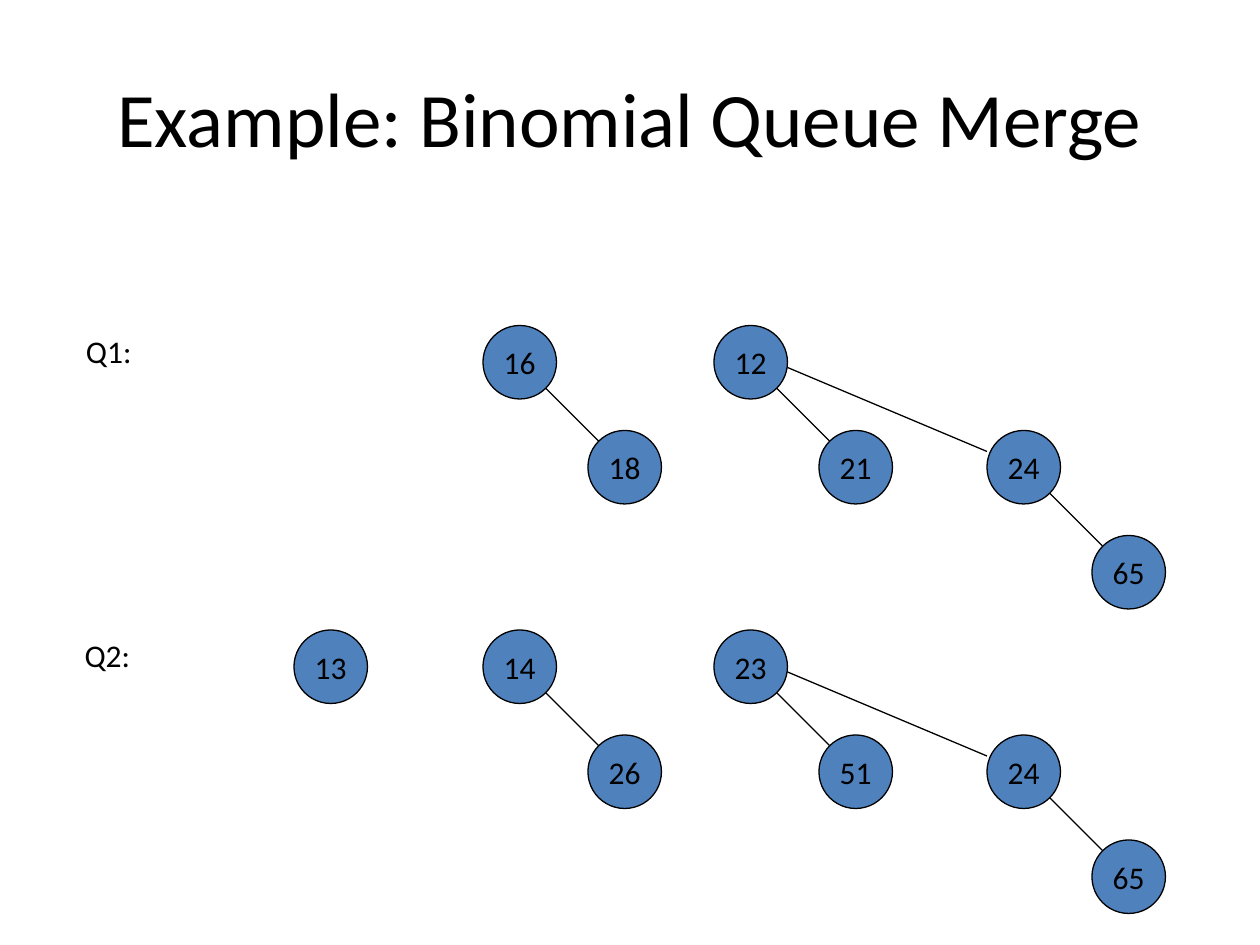
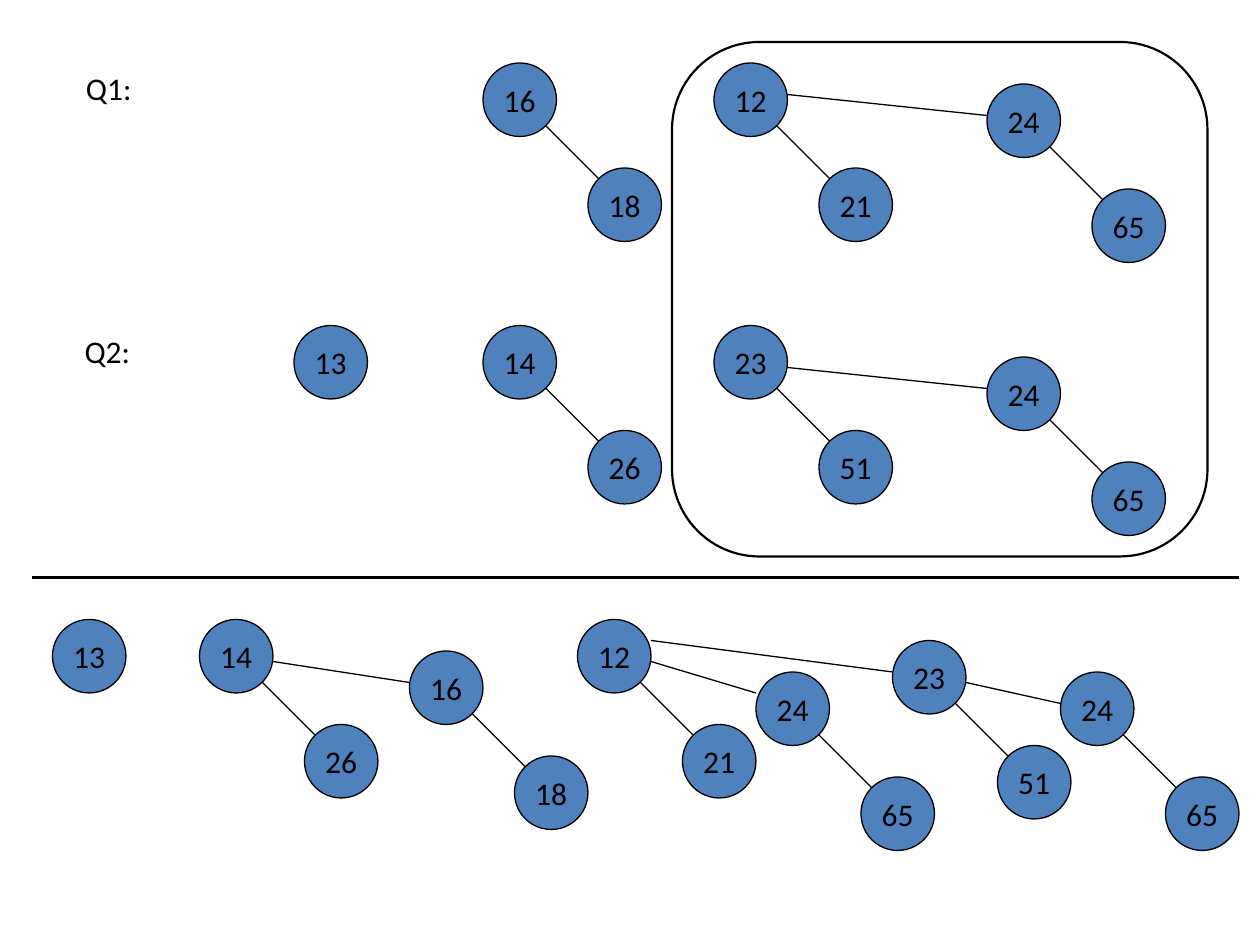
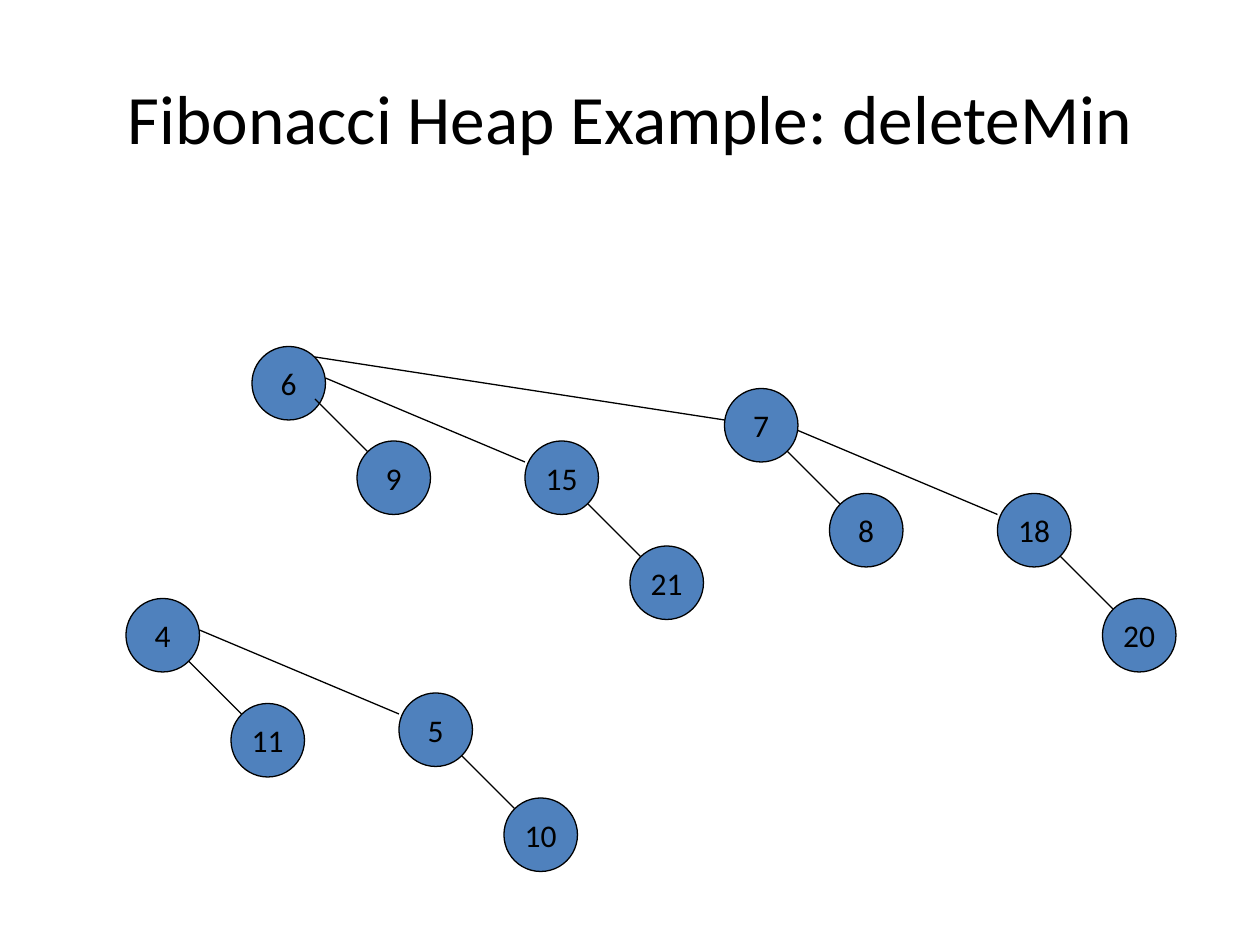
from lxml.etree import SubElement
from pptx import Presentation
from pptx.dml.color import RGBColor
from pptx.enum.shapes import MSO_CONNECTOR, MSO_SHAPE
from pptx.enum.text import MSO_ANCHOR, MSO_AUTO_SIZE, PP_ALIGN
from pptx.oxml.ns import qn
from pptx.util import Emu, Pt

COLORS = {"ink": "000000", "node": "4F81BD"}
FONT = "Calibri"
EMU_PER_PX = 9525
NODE = 56
CHILD_STEP = 80
QUEUE_COLUMNS = {"single": 224, "pair": 368, "quad": 544, "subtree": 752}


def px(length):
    """Turn px into EMU."""
    return Emu(length * EMU_PER_PX)


def color(name):
    """Look up a palette colour."""
    return RGBColor.from_string(COLORS[name])


def write_text(shape, text, size=18, align=PP_ALIGN.LEFT, anchor=MSO_ANCHOR.TOP, wrap=False):
    """Put one formatted paragraph into a shape."""
    frame = shape.text_frame
    frame.word_wrap = wrap
    frame.vertical_anchor = anchor
    paragraph = frame.paragraphs[0]
    paragraph.alignment = align
    run = paragraph.add_run()
    run.text = text
    run.font.name = FONT
    run.font.size = Pt(size)
    run.font.color.rgb = color("ink")


def add_text_box(slide, left, top, width, height, text, **text_format):
    """Add a text box."""
    box = slide.shapes.add_textbox(px(left), px(top), px(width), px(height))
    write_text(box, text, **text_format)
    return box


def add_title(slide, text, size):
    """Add the centred slide title."""
    add_text_box(slide, 48, 29, 864, 120, text, size=size,
                 align=PP_ALIGN.CENTER, anchor=MSO_ANCHOR.MIDDLE, wrap=True)


def add_outlined_shape(slide, kind, left, top, width, height, weight=0.75, fill=None):
    """Add a preset shape with a dark outline."""
    shape = slide.shapes.add_shape(kind, px(left), px(top), px(width), px(height))
    shape.shadow.inherit = False
    if fill:
        shape.fill.solid()
        shape.fill.fore_color.rgb = color(fill)
    else:
        shape.fill.background()
    shape.line.color.rgb = color("ink")
    shape.line.width = Pt(weight)
    return shape


def add_line(slide, start_x, start_y, end_x, end_y, weight=0.75):
    """Add a straight line."""
    line = slide.shapes.add_connector(
        MSO_CONNECTOR.STRAIGHT, px(start_x), px(start_y), px(end_x), px(end_y))
    line.line.color.rgb = color("ink")
    line.line.width = Pt(weight)
    SubElement(line._element.spPr, qn("a:effectLst"))


def add_node(slide, left, top, key):
    """Add a tree node showing its key."""
    node = add_outlined_shape(slide, MSO_SHAPE.OVAL, left, top, NODE, NODE, fill="node")
    write_text(node, str(key), align=PP_ALIGN.CENTER, anchor=MSO_ANCHOR.MIDDLE)


def add_pair(slide, left, top, parent, child, drop=CHILD_STEP):
    """Add a parent with one child to its lower right."""
    child_left, child_top = left + CHILD_STEP, top + drop
    add_node(slide, left, top, parent)
    add_node(slide, child_left, child_top, child)
    add_line(slide, child_left - 32, child_top - 32, child_left + 8, child_top + 8)


def add_queue(slide, name, label_left, top, pair, quad, subtree, drop, link, single=None):
    """Add a named binomial queue in one row of trees."""
    if single is not None:
        add_node(slide, QUEUE_COLUMNS["single"], top, single)
    add_pair(slide, QUEUE_COLUMNS["pair"], top, *pair)
    add_pair(slide, QUEUE_COLUMNS["quad"], top, *quad)
    add_pair(slide, QUEUE_COLUMNS["subtree"], top + drop, *subtree)
    link_start, link_end = link
    add_line(slide, QUEUE_COLUMNS["quad"] + NODE, top + link_start,
             QUEUE_COLUMNS["subtree"], top + link_end)
    label = add_text_box(slide, label_left, top, 67, 48, name)
    label.text_frame.auto_size = MSO_AUTO_SIZE.SHAPE_TO_FIT_TEXT


def add_both_queues(slide, tops, drops, links):
    """Add the two queues to be merged."""
    add_queue(slide, "Q1:", 56, tops[0], (16, 18), (12, 21), (24, 65), drops[0], links[0])
    add_queue(slide, "Q2:", 55, tops[1], (14, 26), (23, 51), (24, 65), drops[1], links[1],
              single=13)


def add_forest(slide, pairs, links):
    """Add parent-child pairs and the links that join them."""
    for pair in pairs:
        add_pair(slide, *pair)
    for link in links:
        add_line(slide, *link)


def build_queues_slide(slide):
    """Show the two queues before the merge."""
    add_title(slide, "Example: Binomial Queue Merge", 44)
    add_both_queues(slide, (248, 480), (80, 80), ((32, 96), (32, 96)))


def build_merge_slide(slide):
    """Show the trees being merged above the resulting queue."""
    add_both_queues(slide, (48, 248), (16, 24), ((24, 40), (32, 48)))
    add_line(slide, 24, 440, 944, 440, weight=2)
    frame = add_outlined_shape(slide, MSO_SHAPE.ROUNDED_RECTANGLE, 512, 32, 408, 392, weight=1.25)
    frame.adjustments[0] = 0.17
    add_node(slide, 40, 472, 13)
    add_forest(
        slide,
        pairs=[(152, 472, 14, 26), (312, 496, 16, 18), (440, 472, 12, 21),
               (576, 512, 24, 65), (680, 488, 23, 51), (808, 512, 24, 65)],
        links=[(208, 504, 312, 520), (496, 504, 576, 528),
               (496, 488, 680, 512), (736, 520, 808, 536)])


def build_fibonacci_slide(slide):
    """Show the two trees of the Fibonacci heap."""
    add_title(slide, "Fibonacci Heap Example: deleteMin", 39.6)
    add_forest(
        slide,
        pairs=[(304, 528, 5, 10), (192, 264, 6, 9, 72), (400, 336, 15, 21),
               (552, 296, 7, 8), (760, 376, 18, 20), (96, 456, 4, 11)],
        links=[(608, 328, 760, 392), (248, 288, 400, 352),
               (152, 480, 304, 544), (240, 272, 552, 320)])


def main():
    """Build and save the presentation."""
    presentation = Presentation()
    presentation.slide_width, presentation.slide_height = px(960), px(720)
    blank_layout = presentation.slide_layouts[6]
    for build in (build_queues_slide, build_merge_slide, build_fibonacci_slide):
        build(presentation.slides.add_slide(blank_layout))
    presentation.save("out.pptx")


if __name__ == "__main__":
    main()
